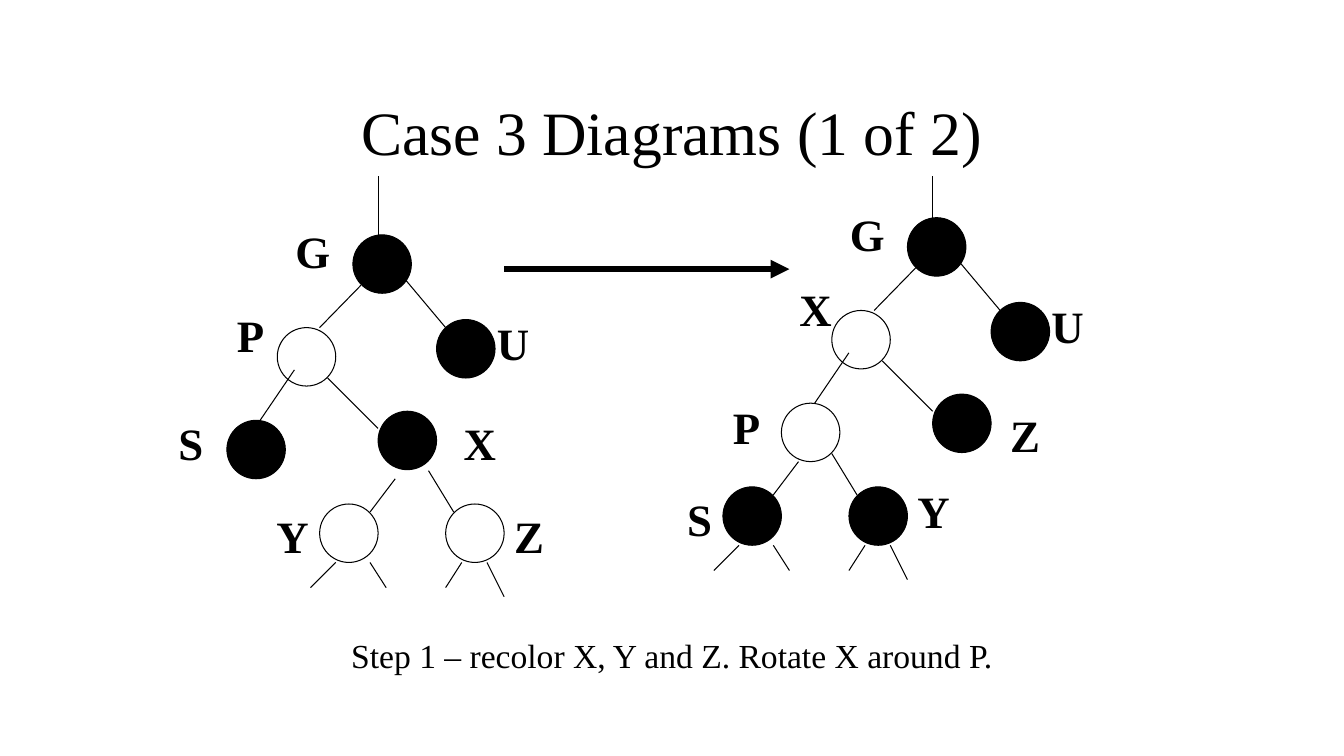
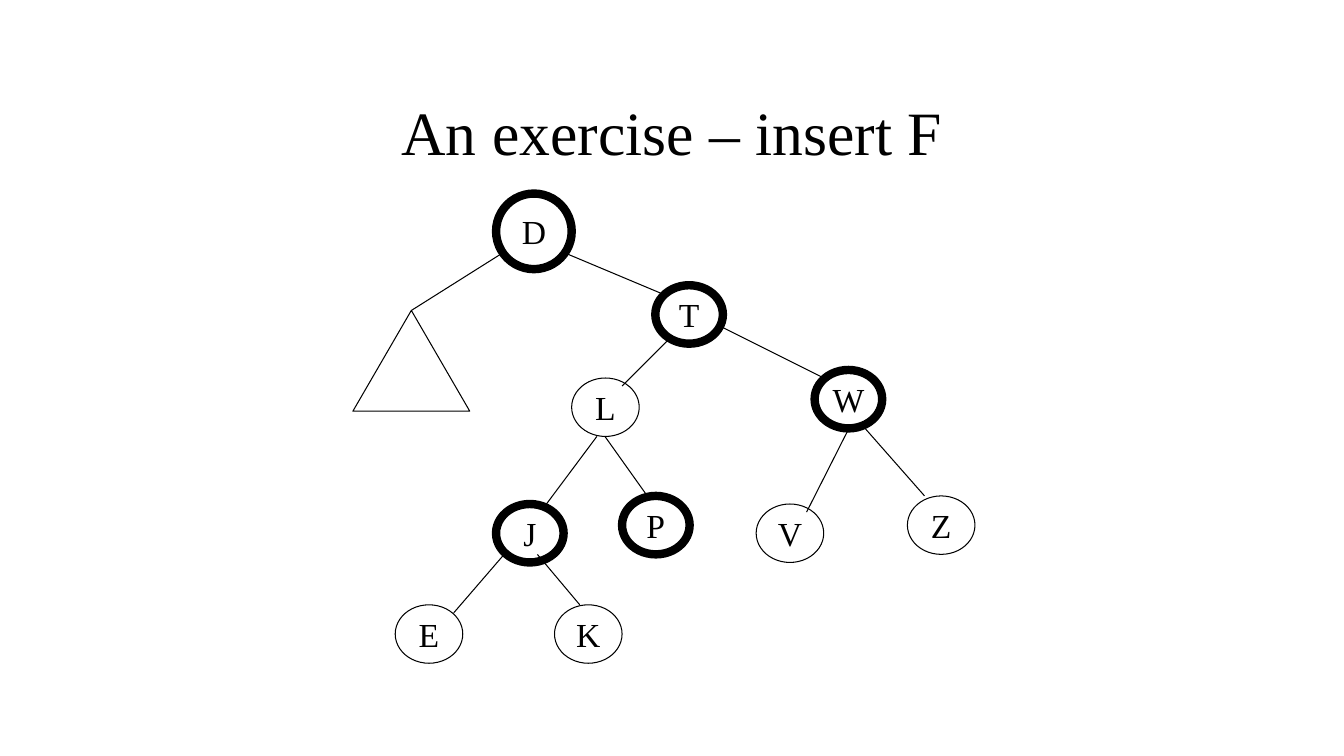
from pptx import Presentation
from pptx.dml.color import RGBColor
from pptx.enum.shapes import MSO_CONNECTOR, MSO_SHAPE
from pptx.enum.text import MSO_ANCHOR, MSO_AUTO_SIZE, PP_ALIGN
from pptx.oxml.ns import qn
from pptx.util import Inches, Pt
from lxml.etree import SubElement

BLACK, WHITE = "000000", "FFFFFF"
THIN, ARROW, THICK = 0.75, 4.5, 6
NODE = 0.58
OVAL = (0.67, NODE)


def color(hex_code):
    return RGBColor.from_string(hex_code)


class TreeDeck:
    """Holds the presentation, its text style and the current page."""

    font_format = {"name": "Times New Roman", "bold": False}

    def __init__(self):
        self.deck = Presentation()
        self.deck.slide_width = Inches(13.33)
        self.deck.slide_height = Inches(7.5)
        self.page = None

    def fill_text(self, shape, text, size, align=PP_ALIGN.CENTER, frame_format=None, **font):
        frame = shape.text_frame
        for name, value in (frame_format or {}).items():
            setattr(frame, name, value)
        paragraph = frame.paragraphs[0]
        paragraph.alignment = align
        span = paragraph.add_run()
        span.text = text
        span.font.color.rgb = color(BLACK)
        for name, value in {**self.font_format, "size": Pt(size), **font}.items():
            setattr(span.font, name, value)

    def add_page(self, title):
        self.page = self.deck.slides.add_slide(self.deck.slide_layouts[5])
        box = self.page.shapes.title
        place = {"left": 1, "top": 0.67, "width": 11.33, "height": 1.25}
        for name, value in place.items():
            setattr(box, name, Inches(value))
        self.fill_text(box, title, 44, frame_format={"vertical_anchor": MSO_ANCHOR.MIDDLE})

    def text(self, text, left, top, width, height, size, align=PP_ALIGN.LEFT, **font):
        box = self.page.shapes.add_textbox(*map(Inches, (left, top, width, height)))
        frame_format = {"word_wrap": True, "auto_size": MSO_AUTO_SIZE.SHAPE_TO_FIT_TEXT}
        self.fill_text(box, text, size, align, frame_format, **font)

    def label(self, text, left, top, width=NODE, align=PP_ALIGN.LEFT):
        self.text(text, left, top, width, 0.63, 32, align, bold=True)

    def shape(self, kind, left, top, width, height, fill=WHITE, weight=THIN):
        shape = self.page.shapes.add_shape(kind, *map(Inches, (left, top, width, height)))
        shape.shadow.inherit = False
        shape.fill.solid()
        shape.fill.fore_color.rgb = color(fill)
        shape.line.color.rgb = color(BLACK)
        shape.line.width = Pt(weight)
        return shape

    def node(self, left, top, size=(NODE, NODE), text=None, **style):
        oval = self.shape(MSO_SHAPE.OVAL, left, top, *size, **style)
        if text:
            frame_format = {"word_wrap": False, "vertical_anchor": MSO_ANCHOR.MIDDLE}
            self.fill_text(oval, text, 24, frame_format=frame_format)

    def line(self, x1, y1, x2, y2, weight=THIN, arrow=False):
        connector = self.page.shapes.add_connector(
            MSO_CONNECTOR.STRAIGHT, *map(Inches, (x1, y1, x2, y2)))
        connector.line.color.rgb = color(BLACK)
        connector.line.width = Pt(weight)
        properties = connector.element.spPr
        if arrow:
            SubElement(properties.find(qn("a:ln")), qn("a:tailEnd"), type="triangle")
        SubElement(properties, qn("a:effectLst"))

    def subtree(self, nodes, edges, dx, dy):
        """Draw circles and edges moved by dx and dy; nodes are (left, top, fill)."""
        for left, top, fill in nodes:
            self.node(left + dx, top + dy, fill=fill)
        for x1, y1, x2, y2 in edges:
            self.line(x1 + dx, y1 + dy, x2 + dx, y2 + dy)


UPPER_NODES = [
    (3.5, 2.33, BLACK), (2.75, 3.25, WHITE), (4.33, 3.17, BLACK)]
UPPER_EDGES = [
    (3.17, 3.25, 3.58, 2.83), (4, 2.75, 4.42, 3.25),
    (2.58, 4.17, 2.92, 3.67), (3.25, 3.75, 3.75, 4.25)]
CHILD_PLACES = [(2.25, 4.17), (3.75, 4.08)]
LEAF_PLACES = [(3.17, 5), (4.42, 5)]
LOWER_EDGES = [
    (3.92, 4.75, 3.67, 5.08), (4.25, 4.67, 4.5, 5.08),
    (3.33, 5.58, 3.08, 5.83), (3.67, 5.58, 3.83, 5.83),
    (4.58, 5.58, 4.42, 5.83), (4.83, 5.58, 5, 5.92)]


def rotation_tree(deck, upper_shift, lower_shift, child_fills, leaf_fill, labels):
    """Draw one state of the rotation; its lower part moves on its own."""
    dx, dy = upper_shift
    children = [(*place, fill) for place, fill in zip(CHILD_PLACES, child_fills)]
    leaves = [(*place, leaf_fill) for place in LEAF_PLACES]
    deck.subtree(UPPER_NODES + children, UPPER_EDGES, dx, dy)
    deck.subtree(leaves, LOWER_EDGES, *lower_shift)
    deck.line(3.75 + dx, 1.75, 3.75 + dx, 2.33 + dy)
    deck.label("G", 2.83 + dx, 2.17 + dy)
    deck.label("U", 4.83 + dx, 3.08 + dy)
    for label in labels:
        deck.label(*label)


def rotation_page(deck):
    deck.add_page("Case 3 Diagrams (1 of 2)")
    rotation_tree(
        deck, (0, 0), (0, 0), (BLACK, BLACK), WHITE,
        [("P", 2.25, 3), ("S", 1.67, 4.08), ("X", 4.5, 4.08),
         ("Y", 2.33, 5, 0.83, PP_ALIGN.RIGHT), ("Z", 5, 5)])
    rotation_tree(
        deck, (5.5, -0.17), (4, -0.17), (WHITE, BLACK), BLACK,
        [("X", 7.83, 2.75), ("P", 7.17, 3.92), ("Z", 9.92, 4),
         ("S", 6.33, 4.83, 0.83, PP_ALIGN.RIGHT), ("Y", 9, 4.75)])
    deck.line(5, 2.67, 7.83, 2.67, ARROW, arrow=True)
    deck.text("Step 1 – recolor X, Y and Z. Rotate X around P.",
              2.33, 6.25, 8.67, 0.5, 24, PP_ALIGN.CENTER)


def exercise_page(deck):
    deck.add_page("An exercise – insert F")
    deck.node(4.92, 1.92, (0.75, 0.75), "D", weight=THICK)
    black_nodes = [("T", 6.5, 2.83), ("W", 8.08, 3.67), ("J", 4.92, 5), ("P", 6.17, 4.92)]
    red_nodes = [("Z", 9, 4.92), ("V", 7.5, 5), ("L", 5.67, 3.75), ("E", 3.92, 6), ("K", 5.5, 6)]
    for weight, nodes in ((THICK, black_nodes), (THIN, red_nodes)):
        for text, left, top in nodes:
            deck.node(left, top, OVAL, text, weight=weight)
    deck.shape(MSO_SHAPE.ISOSCELES_TRIANGLE, 3.5, 3.08, 1.16, 1)
    edges = [
        (5, 2.5, 4.08, 3.08), (5.58, 2.5, 6.58, 2.92),
        (6.67, 3.33, 6.17, 3.83), (7.17, 3.25, 8.17, 3.75),
        (5.92, 4.33, 5.42, 5), (6, 4.33, 6.42, 4.92),
        (8.42, 4.25, 8, 5.08), (8.58, 4.25, 9.17, 4.92),
        (5, 5.5, 4.5, 6.08), (5.33, 5.5, 5.75, 6)]
    for edge in edges:
        deck.line(*edge)


def main():
    deck = TreeDeck()
    rotation_page(deck)
    exercise_page(deck)
    deck.deck.save("out.pptx")


if __name__ == "__main__":
    main()
